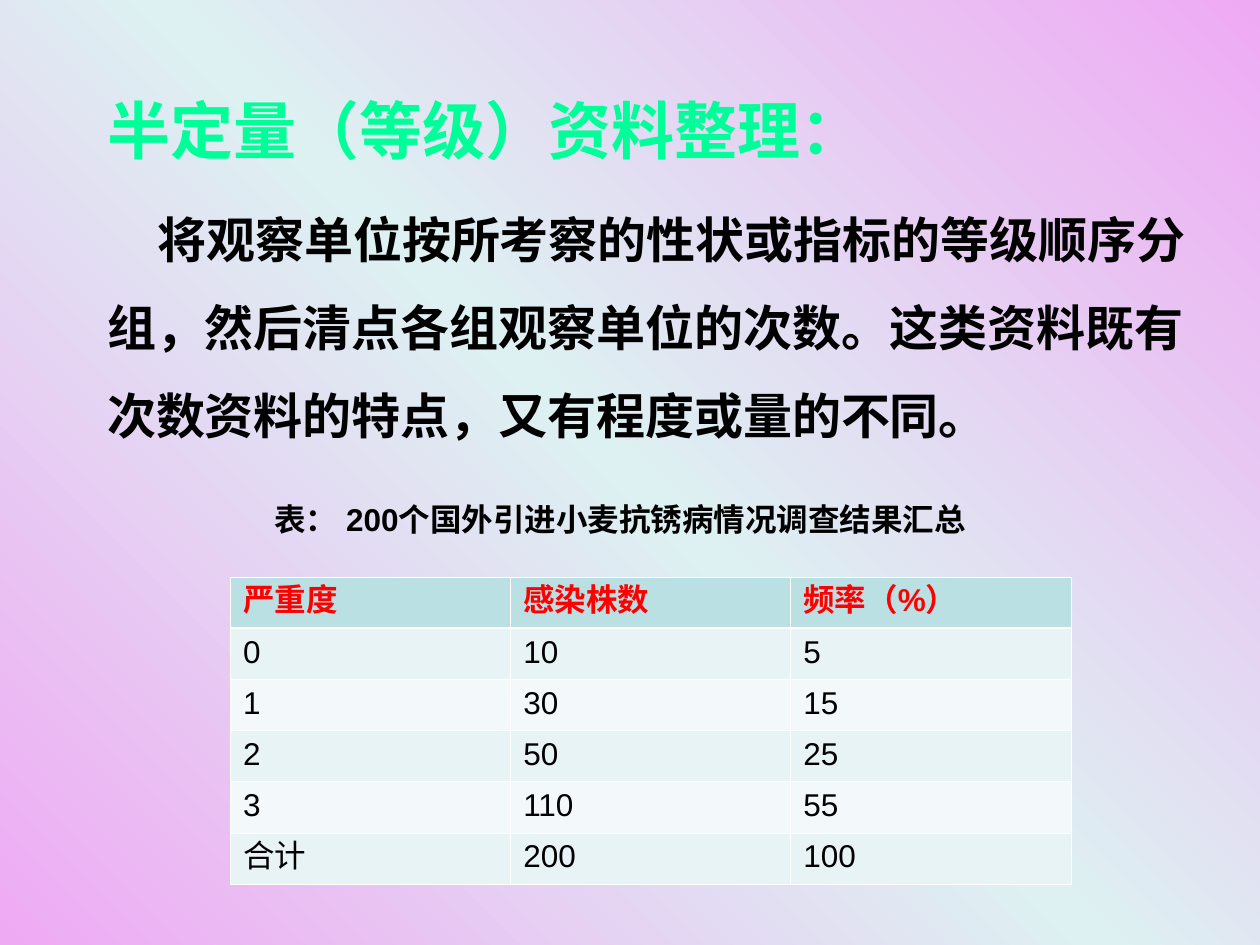
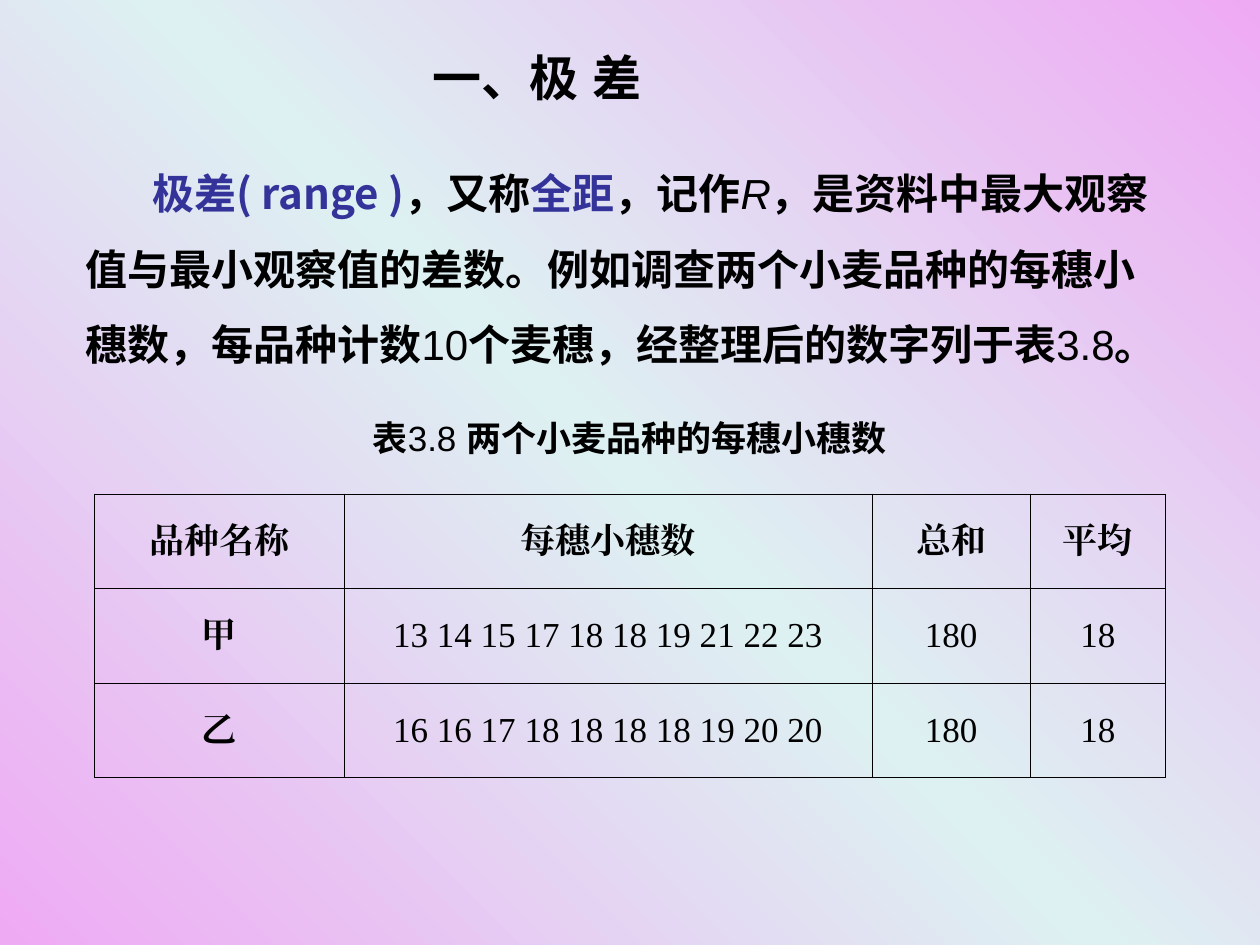
from copy import deepcopy
from dataclasses import dataclass
from typing import NamedTuple, Optional

from lxml.etree import SubElement
from pptx import Presentation
from pptx.dml.color import RGBColor as RGB
from pptx.enum.lang import MSO_LANGUAGE_ID as Language
from pptx.enum.text import MSO_ANCHOR as Anchor, MSO_AUTO_SIZE as AutoSize, PP_ALIGN as Align
from pptx.oxml.ns import qn
from pptx.util import Inches, Length, Pt


@dataclass(frozen=True)
class Theme:
    pink: RGB = RGB(0xEF, 0xAA, 0xF4)
    mist: RGB = RGB(0xDE, 0xF1, 0xF2)
    black: RGB = RGB(0, 0, 0)
    white: RGB = RGB(255, 255, 255)
    red: RGB = RGB(255, 0, 0)
    green: RGB = RGB(0, 0xFF, 0x99)
    indigo: RGB = RGB(0x33, 0x33, 0x99)
    header_fill: RGB = RGB(0xBB, 0xE0, 0xE3)
    odd_fill: RGB = RGB(0xE7, 0xF3, 0xF4)
    even_fill: RGB = RGB(0xF3, 0xF9, 0xFA)
    heading: Length = Pt(36)
    text: Length = Pt(28)
    small_text: Length = Pt(24)
    caption: Length = Pt(20)
    small_caption: Length = Pt(18)
    sans: str = "Arial"
    wide: str = "DejaVu Sans"
    cjk: str = "Noto Sans CJK SC"
    serif: str = "Times New Roman"


THEME = Theme()


class Style(NamedTuple):
    size: Length
    font: str = THEME.sans
    colour: RGB = THEME.black
    bold: bool = True
    italic: bool = False


class Piece(NamedTuple):
    text: str
    style: Style


class Box(NamedTuple):
    left: float
    top: float
    width: float
    height: float

    def lengths(self) -> list[Length]:
        return [Inches(value) for value in self]


class Border(NamedTuple):
    colour: RGB
    inner: float
    outer: float
    header: float


def style_run(run, style: Style) -> None:
    font = run.font
    font.name, font.size = style.font, style.size
    font.bold, font.italic = style.bold, style.italic
    font.color.rgb = style.colour
    font.language_id = Language.SIMPLIFIED_CHINESE
    latin = run._r.rPr.find(qn("a:latin"))
    east_asian = deepcopy(latin)
    east_asian.tag = qn("a:ea")
    latin.addnext(east_asian)


def write(paragraph, pieces: list[Piece]) -> None:
    for piece in pieces:
        run = paragraph.add_run()
        run.text = piece.text
        style_run(run, piece.style)


def fill_box(shape, box: Box, pieces: list[Piece], align: Align = Align.LEFT,
             anchor: Anchor = Anchor.TOP, wrap: bool = True):
    """Place a text shape, write its only paragraph and return that paragraph."""
    shape.left, shape.top, shape.width, shape.height = box.lengths()
    frame = shape.text_frame
    frame.auto_size, frame.word_wrap = AutoSize.NONE, wrap
    frame.vertical_anchor = anchor
    paragraph = frame.paragraphs[0]
    paragraph.alignment = align
    write(paragraph, pieces)
    return paragraph


def fill_body(slide, box: Box, pieces: list[Piece], indent: float, pitch: float) -> None:
    """Write running text without a bullet, with an indented first line."""
    paragraph = fill_box(slide.placeholders[1], box, pieces)
    properties = paragraph._p.get_or_add_pPr()
    properties.set("marL", "0")
    properties.set("indent", str(Inches(indent)))
    SubElement(properties, qn("a:buNone"))
    paragraph.space_before = Pt(0)
    paragraph.line_spacing = Pt(pitch)


def add_caption(slide, box: Box, pieces: list[Piece], **layout) -> None:
    fill_box(slide.shapes.add_textbox(*box.lengths()), box, pieces, **layout)


def set_borders(cell, colour: RGB, widths: dict[str, float]) -> None:
    properties = cell._tc.get_or_add_tcPr()
    for position, side in enumerate("LRTB"):
        line = SubElement(properties, qn(f"a:ln{side}"), w=str(Pt(widths[side])))
        solid = SubElement(line, qn("a:solidFill"))
        SubElement(solid, qn("a:srgbClr"), val=str(colour))
        properties.insert(position, line)


def add_grid(slide, box: Box, column_widths: list[float], rows: list[list[str]],
             border: Border, cell_style, row_fill=None,
             align: Align = Align.LEFT, anchor: Anchor = Anchor.TOP) -> None:
    """Draw a table; cell_style(row, column) and row_fill(row) give its look."""
    table = slide.shapes.add_table(len(rows), len(column_widths), *box.lengths()).table
    table.first_row = table.horz_banding = False
    for column, width in zip(table.columns, column_widths):
        column.width = Inches(width)
    edges = [border.outer, border.header] + [border.inner] * (len(rows) - 2) + [border.outer]
    for r, values in enumerate(rows):
        table.rows[r].height = Inches(box.height / len(rows))
        for c, value in enumerate(values):
            cell = table.cell(r, c)
            cell.vertical_anchor = anchor
            paragraph = cell.text_frame.paragraphs[0]
            paragraph.alignment = align
            write(paragraph, [Piece(value, cell_style(r, c))])
            fill: Optional[RGB] = row_fill(r) if row_fill else None
            if fill is None:
                cell.fill.background()
            else:
                cell.fill.solid()
                cell.fill.fore_color.rgb = fill
            set_borders(cell, border.colour, {"L": border.inner, "R": border.inner,
                                              "T": edges[r], "B": edges[r + 1]})


def paint_background(master) -> None:
    fill = master.background.fill
    fill.gradient()
    fill.gradient_angle = 45
    stops = master.element.find(".//" + qn("a:gsLst"))
    stops.insert(1, deepcopy(stops[0]))
    for stop, position, colour in zip(fill.gradient_stops, (0, 0.5, 1),
                                      (THEME.pink, THEME.mist, THEME.pink)):
        stop.position = position
        stop.color.rgb = colour


def build_graded_data(slide) -> None:
    fill_box(slide.shapes.title, Box(0.75, 0.68, 8.9, 0.7),
             [Piece("半定量（等级）资料整理：", Style(THEME.heading, THEME.wide, THEME.green))])
    fill_body(slide, Box(0.75, 1.38, 8.9, 2.2),
              [Piece("将观察单位按所考察的性状或指标的等级顺序分组，然后清点各组观察单位的次数。"
                     "这类资料既有次数资料的特点，又有程度或量的不同。",
                     Style(THEME.text, THEME.wide))], indent=0.4, pitch=50.4)

    counts = {"0": 10, "1": 30, "2": 50, "3": 110}
    total = sum(counts.values())
    rows = [["严重度", "感染株数", "频率（%）"]]
    rows += [[grade, str(count), f"{count / total:.0%}".rstrip("%")]
             for grade, count in counts.items()]
    rows.append(["合计", str(total), "100"])

    header = Style(THEME.small_caption, colour=THEME.red)
    plain = Style(THEME.small_caption, bold=False)

    def banded(row: int) -> RGB:
        if row == 0:
            return THEME.header_fill
        return THEME.odd_fill if row % 2 else THEME.even_fill

    add_grid(slide, Box(1.83, 4.58, 6.67, 2.44), [6.67 / 3] * 3, rows,
             Border(THEME.white, inner=0.45, outer=0.45, header=1.47),
             lambda r, c: plain if r else header, banded)
    add_caption(slide, Box(2.08, 3.92, 5.85, 0.4),
                [Piece(f"表： {total}个国外引进小麦抗锈病情况调查结果汇总",
                       Style(THEME.small_caption))], wrap=False)


def build_range(slide) -> None:
    fill_box(slide.shapes.title, Box(3.33, 0.33, 3.67, 0.57),
             [Piece("一、极 差", Style(THEME.text))])

    strong = Style(THEME.small_text)
    number = strong._replace(bold=False)
    term = strong._replace(colour=THEME.indigo)
    fill_body(slide, Box(0.58, 1.08, 8.83, 2.5), [
        Piece("极差( range )", term._replace(font=THEME.cjk)),
        Piece("，又称", strong),
        Piece("全距", term),
        Piece("，记作", strong),
        Piece("R", number._replace(italic=True)),
        Piece("，是资料中最大观察值与最小观察值的差数。"
              "例如调查两个小麦品种的每穗小穗数，每品种计数", strong),
        Piece("10", number),
        Piece("个麦穗，经整理后的数字列于表", strong),
        Piece("3.8", number),
        Piece("。", strong),
    ], indent=0.53, pitch=43.2)

    caption = Style(THEME.caption, THEME.cjk)
    add_caption(slide, Box(0, 3.25, 10, 0.44), [
        Piece("表", caption),
        Piece("3.8 ", Style(THEME.caption, bold=False)),
        Piece("两个小麦品种的每穗小穗数", caption),
    ], align=Align.CENTER, anchor=Anchor.MIDDLE)

    label = Style(THEME.caption, THEME.serif)
    value = label._replace(bold=False)
    rows = [
        ["品种名称", "每穗小穗数", "总和", "平均"],
        ["甲", "13 14 15 17 18 18 19 21 22 23", "180", "18"],
        ["乙", "16 16 17 18 18 18 18 19 20 20", "180", "18"],
    ]
    add_grid(slide, Box(0.75, 3.92, 8.5, 2.25), [1.98, 4.19, 1.26, 1.07], rows,
             Border(THEME.black, inner=0.34, outer=0.45, header=0.45),
             lambda r, c: value if r and c else label,
             align=Align.CENTER, anchor=Anchor.MIDDLE)


def main() -> None:
    deck = Presentation()
    deck.slide_width, deck.slide_height = Inches(10), Inches(7.5)
    paint_background(deck.slide_master)
    title_and_content = deck.slide_layouts[1]
    for build in (build_graded_data, build_range):
        build(deck.slides.add_slide(title_and_content))
    deck.save("out.pptx")


if __name__ == "__main__":
    main()
